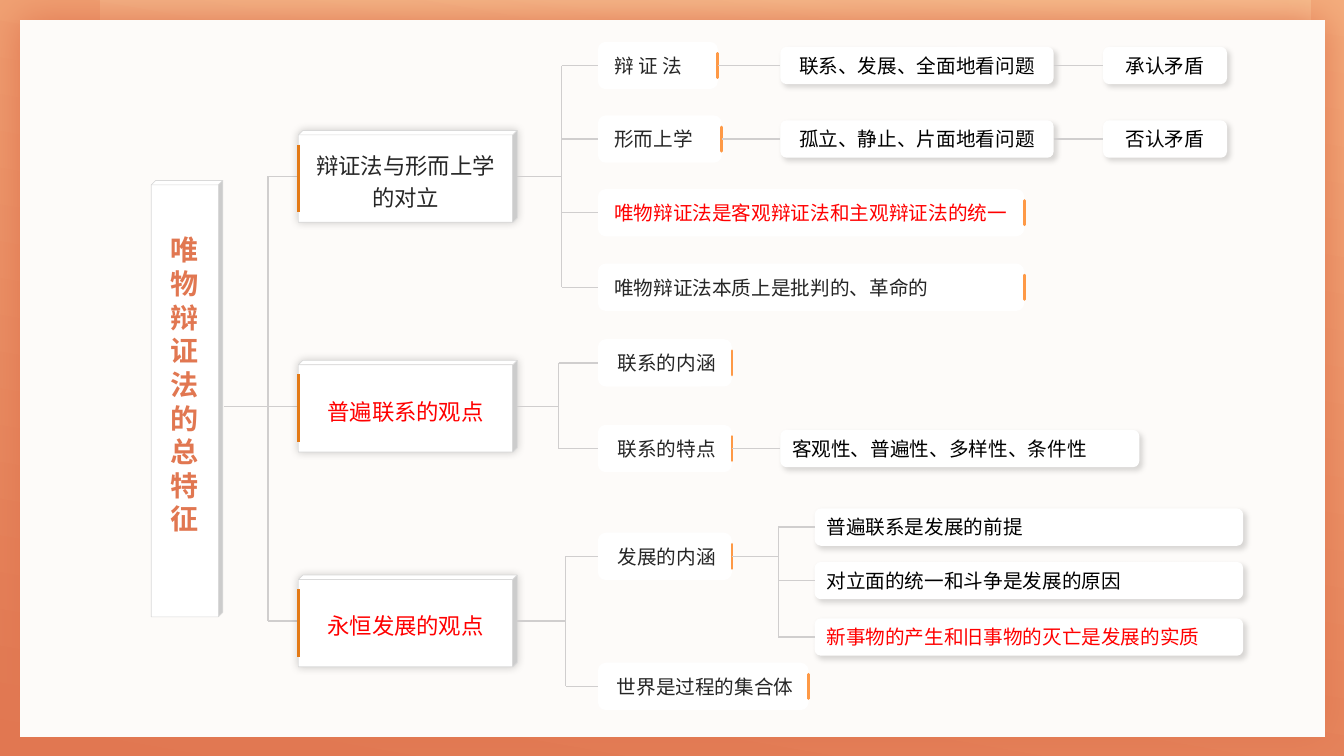
from lxml.etree import SubElement
from pptx import Presentation
from pptx.dml.color import RGBColor
from pptx.enum.shapes import MSO_CONNECTOR as Connector, MSO_SHAPE as Shape
from pptx.enum.text import MSO_ANCHOR as Anchor, MSO_AUTO_SIZE as AutoSize, PP_ALIGN as Align
from pptx.oxml.ns import qn
from pptx.util import Inches, Pt

COLORS = {
    "coral": "E17751", "peach": "F4AD7D", "cream": "FDD5A6", "paper": "FDFBF9",
    "white": "FFFFFF", "edge": "D9D9D9", "branch": "D0CECE", "accent": "E37A17",
    "bar": "FE9946", "text": "262626", "black": "000000", "red": "FF0000",
}
FONT = "Noto Sans CJK SC"
WIDTH, HEIGHT = 13.33, 7.5
LEFT, RIGHT = 1, 3  # connection sites of a rectangle


def rgb(name):
    return RGBColor.from_string(COLORS[name])


def bezier(points, steps=24):
    """Sample a cubic curve, leaving out its first point."""
    weights = (1, 3, 3, 1)
    return [
        tuple(sum(weights[k] * (1 - t) ** (3 - k) * t ** k * points[k][axis] for k in range(4))
              for axis in (0, 1))
        for t in (step / steps for step in range(1, steps + 1))
    ]


class MindMap:
    def __init__(self, slide):
        self.slide = slide

    def shape(self, kind, left, top, width, height, fill="white", edge=None):
        shape = self.slide.shapes.add_shape(
            kind, Inches(left), Inches(top), Inches(width), Inches(height))
        shape.shadow.inherit = False
        if fill:
            shape.fill.solid()
            shape.fill.fore_color.rgb = rgb(fill)
        if edge:
            shape.line.color.rgb = rgb(edge)
            shape.line.width = Pt(0.5)
        else:
            shape.line.fill.background()
        return shape

    def gradient(self, shape, start, end, end_alpha=100):
        shape.fill.gradient()
        shape.fill.gradient_angle = 80
        for stop, name in zip(shape.fill.gradient_stops, (start, end)):
            stop.color.rgb = rgb(name)
        if end_alpha < 100:
            last_color = list(shape._element.spPr.iter(qn("a:srgbClr")))[-1]
            SubElement(last_color, qn("a:alpha"), val=str(end_alpha * 1000))

    def shadow(self, shape, color, alpha, blur, distance, angle):
        effects = shape._element.spPr.find(qn("a:effectLst"))
        outer = SubElement(effects, qn("a:outerShdw"), blurRad=str(Pt(blur)),
                           dist=str(Pt(distance)), dir=str(angle * 60000),
                           algn="ctr", rotWithShape="0")
        value = SubElement(outer, qn("a:srgbClr"), val=COLORS[color])
        SubElement(value, qn("a:alpha"), val=str(alpha * 1000))

    def text(self, shape, text, size, color, align=Align.CENTER, bold=False, indent=0):
        frame = shape.text_frame
        frame.text = text
        frame.word_wrap = True
        frame.vertical_anchor = Anchor.MIDDLE
        paragraph = frame.paragraphs[0]
        paragraph.alignment = align
        if indent:
            properties = paragraph._p.get_or_add_pPr()
            properties.set("marL", str(Inches(indent)))
            properties.set("indent", "0")
        font = paragraph.runs[0].font
        font.size, font.bold, font.name = Pt(size), bold, FONT
        font.color.rgb = rgb(color)
        SubElement(font._element, qn("a:ea"), typeface=FONT)
        return paragraph

    def line(self, x1, y1, x2, y2, color="branch", width=1, begin=None, end=None):
        line = self.slide.shapes.add_connector(
            Connector.STRAIGHT, Inches(x1), Inches(y1), Inches(x2), Inches(y2))
        line.line.color.rgb = rgb(color)
        line.line.width = Pt(width)
        SubElement(line._element.spPr, qn("a:effectLst"))
        if begin:
            line.begin_connect(begin, RIGHT)
        if end:
            line.end_connect(end, LEFT)
        return line

    def backdrop(self):
        frame = self.shape(Shape.RECTANGLE, 0, 0, WIDTH, HEIGHT, fill=None)
        self.gradient(frame, "coral", "peach")
        start, corner = (0.83, 0), (13.15, 6.46)
        bottom, tip = (10.22, 6.9), (0.98, 0.44)
        outline = [(WIDTH, 0), (WIDTH, 6.4), corner]
        outline += bezier([corner, (12.22, 6.75), (11.24, 6.9), bottom])
        outline += bezier([bottom, (5.97, 6.9), (2.36, 4.21), tip])
        builder = self.slide.shapes.build_freeform(*start, scale=Inches(1))
        builder.add_line_segments(outline, close=True)
        glow = builder.convert_to_shape()
        glow.shadow.inherit = False
        glow.line.fill.background()
        self.gradient(glow, "coral", "cream", 50)
        paper = self.shape(Shape.RECTANGLE, 0.2, 0.2, 12.94, 7.11, "paper")
        self.shadow(paper, "coral", 100, 30, 0, 0)

    def root(self, text):
        cube = self.shape(Shape.CUBE, 1.5, 1.79, 0.71, 4.33, edge="edge")
        cube.adjustments[0] = 0.063
        self.text(cube, text, 20, "coral", bold=True)
        cube.text_frame.margin_bottom = Inches(0.38)

    def chapter(self, middle, text, color):
        top = middle - 0.455
        cube = self.shape(Shape.CUBE, 2.96, top, 2.17, 0.91, edge="edge")
        cube.adjustments[0] = 0.048
        self.shadow(cube, "black", 20, 6, 0, 315)
        self.text(cube, text, 16, color).line_spacing = 1.2
        self.line(2.96, top + 0.14, 2.96, top + 0.81, "accent", 2)

    def topic(self, middle, width, text, color="text", align=Align.LEFT):
        """A flat box with a short bar on its right side."""
        left = 5.93
        box = self.shape(Shape.ROUNDED_RECTANGLE, left, middle - 0.235, width, 0.47)
        self.text(box, text, 14, color, align, indent=0.04)
        right = left + width
        bar = self.line(right, middle - 0.12, right, middle + 0.12, "bar", 2)
        bar.line._get_or_add_ln().set("cap", "rnd")
        return box

    def detail(self, left, middle, width, text, color="black", align=Align.LEFT):
        box = self.shape(Shape.ROUNDED_RECTANGLE, left, middle - 0.185, width, 0.37)
        self.shadow(box, "black", 15, 4, 3, 45)
        self.text(box, text, 14, color, align)
        box.text_frame.auto_size = AutoSize.SHAPE_TO_FIT_TEXT
        return box

    def bracket(self, start, trunk, middle, ends, end_x, boxes=None, begin=None):
        """One stem, one trunk, and a twig to each height in ends."""
        self.line(start, middle, trunk, middle, begin=begin)
        self.line(trunk, ends[0], trunk, ends[-1])
        for y, box in zip(ends, boxes or [None] * len(ends)):
            self.line(trunk, y, end_x, y, end=box)


def main():
    presentation = Presentation()
    presentation.slide_width, presentation.slide_height = Inches(WIDTH), Inches(HEIGHT)
    mind_map = MindMap(presentation.slides.add_slide(presentation.slide_layouts[6]))
    mind_map.backdrop()
    mind_map.root("唯物辩证法的总特征")

    center = Align.CENTER
    chapters = [
        (1.75, "辩证法与形而上学的对立", "text", 5.57, [
            (0.65, 1.19, "辩 证 法"),
            (1.38, 1.23, "形而上学"),
            (2.11, 4.23, "唯物辩证法是客观辩证法和主观辩证法的统一", "red"),
            (2.85, 4.23, "唯物辩证法本质上是批判的、革命的")]),
        (4.03, "普遍联系的观点", "red", 5.54, [
            (3.6, 1.33, "联系的内涵", "text", center),
            (4.45, 1.33, "联系的特点", "text", center)]),
        (6.16, "永恒发展的观点", "red", 5.61, [
            (5.52, 1.33, "发展的内涵", "text", center),
            (6.81, 2.09, "世界是过程的集合体", "text", center)]),
    ]
    mind_map.bracket(2.22, 2.66, 4.03, [chapter[0] for chapter in chapters], 2.96)
    topics = {}
    for middle, title, color, trunk, rows in chapters:
        mind_map.chapter(middle, title, color)
        boxes = [mind_map.topic(*row) for row in rows]
        topics.update((row[2], box) for row, box in zip(rows, boxes))
        mind_map.bracket(5.13, trunk, middle, [row[0] for row in rows], 5.93, boxes)

    chains = [
        ("辩 证 法", 0.65, [(7.74, 2.71, "联系、发展、全面地看问题"), (10.94, 1.23, "承认矛盾")], center),
        ("形而上学", 1.38, [(7.74, 2.71, "孤立、静止、片面地看问题"), (10.94, 1.23, "否认矛盾")], center),
        ("联系的特点", 4.45, [(7.74, 3.56, "客观性、普遍性、多样性、条件性")], Align.LEFT),
    ]
    for topic, middle, details, align in chains:
        previous = topics[topic]
        for left, width, text in details:
            box = mind_map.detail(left, middle, width, text, align=align)
            mind_map.line(left, middle, left, middle, begin=previous, end=box)
            previous = box

    reasons = [(5.23, "普遍联系是发展的前提", "black"),
               (5.76, "对立面的统一和斗争是发展的原因", "black"),
               (6.32, "新事物的产生和旧事物的灭亡是发展的实质", "red")]
    boxes = [mind_map.detail(8.08, middle, 4.25, text, color) for middle, text, color in reasons]
    mind_map.bracket(7.26, 7.72, 5.52, [reason[0] for reason in reasons], 8.08, boxes,
                     begin=topics["发展的内涵"])
    presentation.save("out.pptx")


if __name__ == "__main__":
    main()
